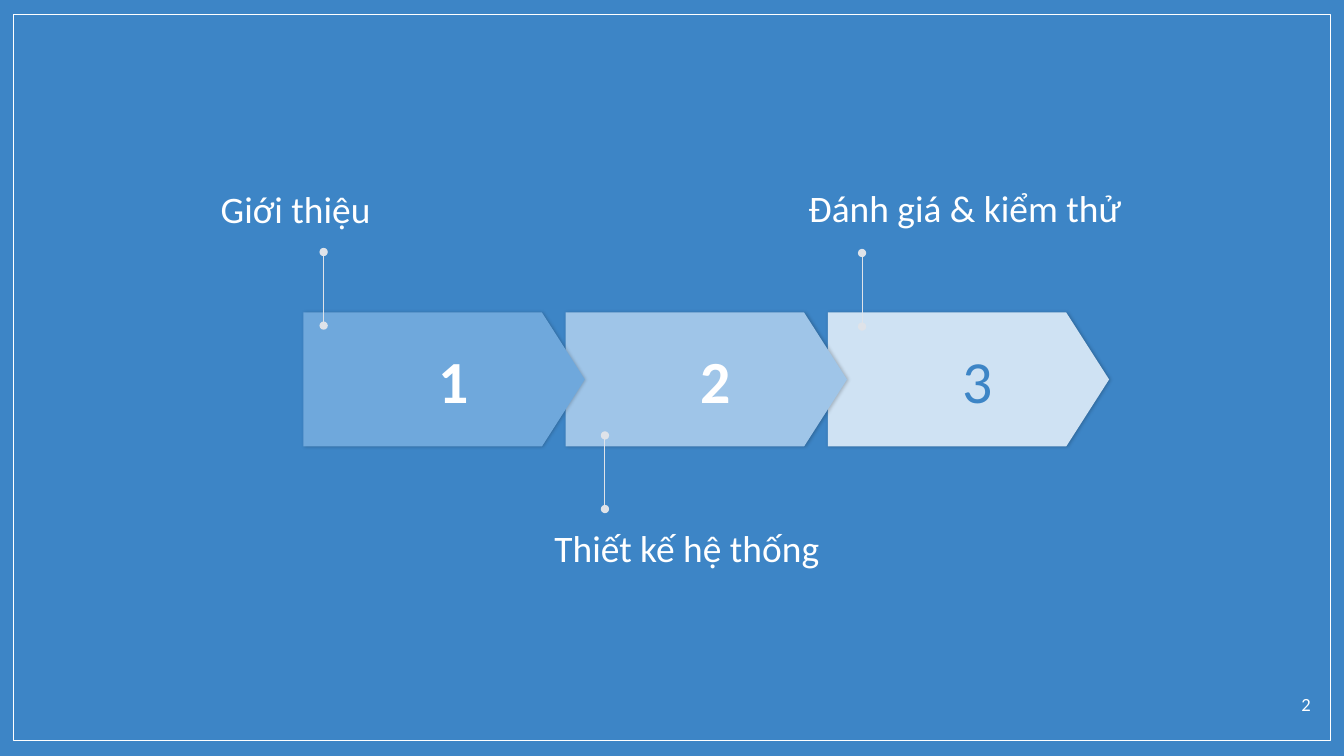
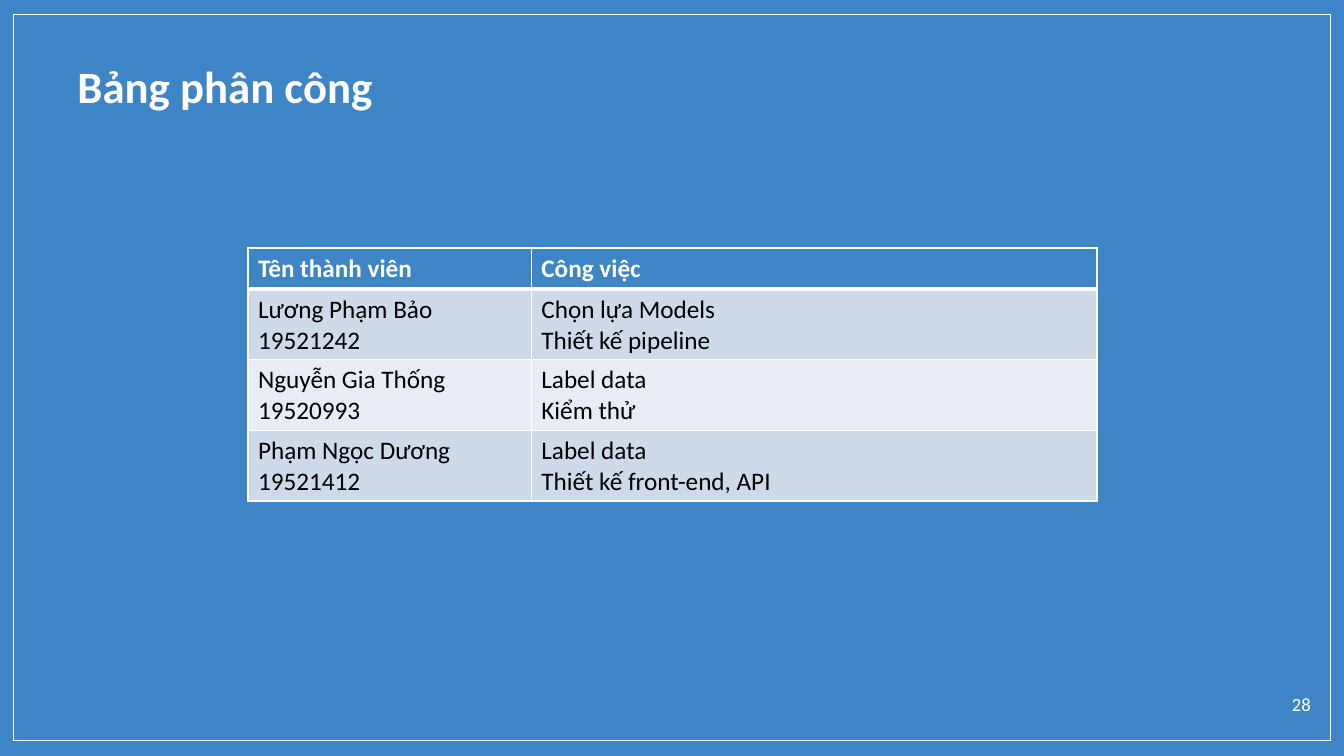
from lxml import etree
from pptx import Presentation
from pptx.dml.color import RGBColor
from pptx.enum.shapes import MSO_CONNECTOR, MSO_SHAPE
from pptx.enum.text import MSO_ANCHOR, MSO_AUTO_SIZE, PP_ALIGN
from pptx.oxml.ns import qn
from pptx.util import Emu, Pt

PENTAGON, RECTANGLE = MSO_SHAPE.PENTAGON, MSO_SHAPE.RECTANGLE
STRAIGHT = MSO_CONNECTOR.STRAIGHT
GROW = MSO_AUTO_SIZE.SHAPE_TO_FIT_TEXT
MIDDLE = MSO_ANCHOR.MIDDLE
LEFT, CENTER, RIGHT = PP_ALIGN.LEFT, PP_ALIGN.CENTER, PP_ALIGN.RIGHT

# Shared look; lengths are px at 100 to the inch
EMU_PER_PX = 9144
SLIDE_W, SLIDE_H = 1333, 750
FONT = "Calibri"
BLUE, WHITE, BLACK, PIN_GREY = "3D85C6", "FFFFFF", "000000", "DFE3E9"
BANDS = ("CED9EA", "E8EDF5")

# Content: agenda steps
STEP_LEFT, STEP_TOP, STEP_W, STEP_H, STEP_PITCH = 301, 310, 279, 133, 260
PIN_LENGTH = 73
STEPS = [
    # number, fill, text colour, bold, pin (x, top), label, label (left, top, width), wrap
    ("1", "6FA8DC", WHITE, True, (321, 250), "Giới thiệu", (209, 180, 389), True),
    ("2", "9FC5E8", WHITE, True, (600, 432), "Thiết kế hệ thống", (540, 516, 408), True),
    ("3", "CFE2F3", BLUE, False, (855, 251), "Đánh giá & kiểm thử", (792, 179, 333), False),
]

# Content: work assignment
ASSIGNMENT_TITLE = "Bảng phân công"
ASSIGNMENTS = [
    ("Tên thành viên", "Công việc"),
    ("Lương Phạm Bảo\n19521242", "Chọn lựa Models\nThiết kế pipeline"),
    ("Nguyễn Gia Thống\n19520993", "Label data\nKiểm thử"),
    ("Phạm Ngọc Dương\n19521412", "Label data\nThiết kế front-end, API"),
]
COLUMN_WIDTHS = (281, 561)
HEADER_H, MEMBER_H = 41, 70


def px(length):
    return Emu(length * EMU_PER_PX)


def rgb(value):
    return RGBColor.from_string(value)


def paint(fill, color):
    fill.solid()
    fill.fore_color.rgb = rgb(color)


def style_text(frame, size, color, bold=False, align=LEFT):
    for paragraph in frame.paragraphs:
        paragraph.alignment = align
        font = paragraph.font
        font.name, font.size, font.bold = FONT, Pt(size), bold
        font.color.rgb = rgb(color)


def add_text(slide, text, box, size, bold=False, align=LEFT, wrap=True):
    frame = slide.shapes.add_textbox(*map(px, box)).text_frame
    frame.text = text
    frame.word_wrap = wrap
    style_text(frame, size, WHITE, bold, align)
    return frame


def add_framed_slide(prs, number):
    slide = prs.slides.add_slide(prs.slide_layouts[6])
    border = slide.shapes.add_shape(RECTANGLE, px(13), px(14), px(1307), px(721))
    border.shadow.inherit = False
    border.fill.background()
    border.line.color.rgb = rgb(WHITE)
    border.line.width = Pt(0.75)
    frame = add_text(slide, number, (1243, 677, 67, 43), 13.3, align=RIGHT)
    frame.margin_top = frame.margin_bottom = px(10)
    return slide


def add_soft_shadow(shape):
    shape.shadow.inherit = False
    effects = shape._element.spPr.find(qn("a:effectLst"))
    shadow = etree.SubElement(effects, qn("a:outerShdw"), blurRad=str(Pt(2.2)),
                              dist=str(Pt(0.8)), dir="0", algn="l", rotWithShape="0")
    color = etree.SubElement(shadow, qn("a:srgbClr"), val=BLACK)
    etree.SubElement(color, qn("a:alpha"), val="20000")


def add_step(slide, index, number, fill, color, bold):
    step = slide.shapes.add_shape(PENTAGON, px(STEP_LEFT + index * STEP_PITCH),
                                  px(STEP_TOP), px(STEP_W), px(STEP_H))
    step.adjustments[0] = 0.32
    paint(step.fill, fill)
    step.line.fill.background()
    add_soft_shadow(step)
    frame = step.text_frame
    frame.text = number
    frame.vertical_anchor = MIDDLE
    frame.margin_left = px(40)
    frame.margin_top = frame.margin_right = frame.margin_bottom = 0
    style_text(frame, 42.7, color, bold, CENTER)


def add_pin(slide, x, top):
    pin = slide.shapes.add_connector(STRAIGHT, px(x), px(top + PIN_LENGTH), px(x), px(top))
    pin.line.color.rgb = rgb(PIN_GREY)
    pin.line.width = Pt(0.75)
    for end in ("a:headEnd", "a:tailEnd"):
        etree.SubElement(pin.line._get_or_add_ln(), qn(end), type="oval")
    etree.SubElement(pin._element.spPr, qn("a:effectLst"))


def set_borders(cell, top, bottom):
    properties = cell._tc.get_or_add_tcPr()
    widths = {"a:lnL": 1, "a:lnR": 1, "a:lnT": top, "a:lnB": bottom}
    for position, (side, width) in enumerate(widths.items()):
        line = etree.Element(qn(side), w=str(Pt(width)))
        fill = etree.SubElement(line, qn("a:solidFill"))
        etree.SubElement(fill, qn("a:srgbClr"), val=WHITE)
        properties.insert(position, line)


def build_agenda(prs):
    slide = add_framed_slide(prs, "2")
    # Each arrow tip lies over the next step, so the last is drawn first
    for index, step in reversed(list(enumerate(STEPS))):
        add_step(slide, index, *step[:4])
    for *_, pin, label, box, wrap in STEPS:
        add_pin(slide, *pin)
        add_text(slide, label, (*box, 55), 26.7, wrap=wrap).auto_size = GROW


def build_assignments(prs):
    slide = add_framed_slide(prs, "28")
    title = add_text(slide, ASSIGNMENT_TITLE, (67, 53, 400, 64), 32, bold=True)
    title.auto_size = GROW

    heights = [HEADER_H] + [MEMBER_H] * (len(ASSIGNMENTS) - 1)
    table = slide.shapes.add_table(len(ASSIGNMENTS), len(COLUMN_WIDTHS), px(246), px(246),
                                   px(sum(COLUMN_WIDTHS)), px(sum(heights))).table
    table.horz_banding = False
    for column, width in zip(table.columns, COLUMN_WIDTHS):
        column.width = px(width)
    for r, texts in enumerate(ASSIGNMENTS):
        table.rows[r].height = px(heights[r])
        header = r == 0
        for c, text in enumerate(texts):
            cell = table.cell(r, c)
            cell.text = text
            paint(cell.fill, BLUE if header else BANDS[(r - 1) % 2])
            style_text(cell.text_frame, 18, WHITE if header else BLACK, header)
            set_borders(cell, top=3 if r == 1 else 1, bottom=3 if header else 1)


def main():
    prs = Presentation()
    prs.slide_width, prs.slide_height = px(SLIDE_W), px(SLIDE_H)
    paint(prs.slide_master.background.fill, BLUE)
    build_agenda(prs)
    build_assignments(prs)
    prs.save("out.pptx")


if __name__ == "__main__":
    main()
